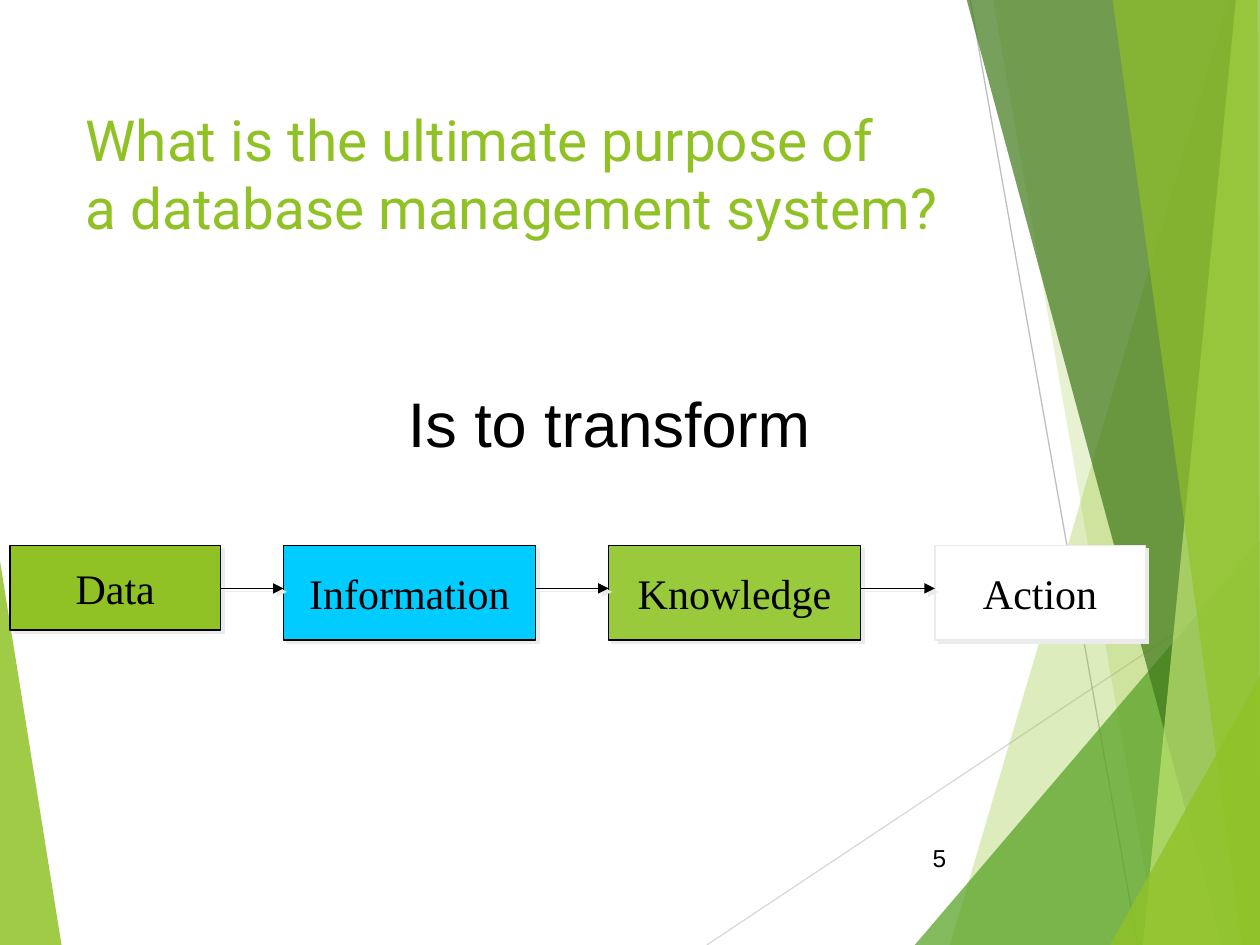
from dataclasses import dataclass
from itertools import pairwise

from lxml.etree import SubElement
from pptx import Presentation
from pptx.dml.color import RGBColor
from pptx.enum.shapes import MSO_CONNECTOR, MSO_SHAPE
from pptx.enum.text import MSO_ANCHOR, MSO_AUTO_SIZE, PP_ALIGN
from pptx.oxml.ns import qn
from pptx.util import Inches, Pt


@dataclass(frozen=True)
class Theme:
    """Colours, fonts and type sizes."""
    lime: str = "90C226"
    leaf: str = "54A021"
    moss: str = "3F7819"
    pale: str = "C0E474"
    sky: str = "00CCFF"
    grass: str = "99CA3C"
    white: str = "FFFFFF"
    black: str = "000000"
    shade: str = "EBEBEB"
    light: str = "D9D9D9"
    grey: str = "BFBFBF"
    head: str = "Roboto"
    sans: str = "Arial"
    serif: str = "Times New Roman"
    title: float = 32.4
    lead: float = 36
    label: float = 24
    small: float = 14


def write(frame, text, font, size, color, align=PP_ALIGN.LEFT,
          anchor=MSO_ANCHOR.MIDDLE, wrap=True):
    """Fill a text frame with one formatted paragraph."""
    frame.auto_size = MSO_AUTO_SIZE.NONE
    frame.word_wrap = wrap
    frame.vertical_anchor = anchor
    frame.text = text
    para = frame.paragraphs[0]
    para.alignment = align
    for run in para.runs:
        run.font.name = font
        run.font.size = Pt(size)
        run.font.color.rgb = RGBColor.from_string(color)


def shadow(shape, color=None):
    """Replace the theme shadow by a hard one, or by none."""
    props = shape._element.spPr
    for old in props.findall(qn("a:effectLst")):
        props.remove(old)
    effect = SubElement(props, qn("a:effectLst"))
    if color:
        outer = SubElement(effect, qn("a:outerShdw"), blurRad="0",
                           dist=str(Pt(2.8)), dir=str(45 * 60000),
                           algn="ctr", rotWithShape="0")
        SubElement(outer, qn("a:srgbClr"), val=color)


class Deck:
    """Holds the theme and the current slide."""

    def __init__(self, theme):
        """Start a deck with one title slide."""
        self.theme = theme
        self.file = Presentation()
        self.file.slide_width = Inches(10)
        self.file.slide_height = Inches(7.5)
        self.slide = self.file.slides.add_slide(self.file.slide_layouts[5])
        self.shapes = self.slide.shapes

    def title(self, text, *area):
        """Place the title and bring it to the front."""
        hold = self.shapes.title
        hold.left, hold.top, hold.width, hold.height = map(Inches, area)
        write(hold.text_frame, text, self.theme.head, self.theme.title,
              self.theme.lime)
        self.shapes._spTree.append(hold._element)

    def text(self, text, *area, **style):
        """Add a text box."""
        box = self.shapes.add_textbox(*map(Inches, area))
        write(box.text_frame, text, self.theme.sans, color=self.theme.black,
              **style)

    def facet(self, color, alpha, *points):
        """Add a see-through polygon without an outline."""
        start, *rest = [(Inches(x), Inches(y)) for x, y in points]
        pen = self.shapes.build_freeform(*start)
        pen.add_line_segments(rest, close=True)
        shape = pen.convert_to_shape()
        shape.fill.solid()
        shape.fill.fore_color.rgb = RGBColor.from_string(color)
        tint = shape._element.spPr.find(qn("a:solidFill"))[0]
        SubElement(tint, qn("a:alpha"), val=str(alpha * 1000))
        shape.line.fill.background()
        shadow(shape)

    def line(self, color, *ends, arrow=False):
        """Add a thin line, with an arrowhead if asked."""
        link = self.shapes.add_connector(MSO_CONNECTOR.STRAIGHT,
                                         *map(Inches, ends))
        link.line.color.rgb = RGBColor.from_string(color)
        link.line.width = Pt(0.75)
        if arrow:
            SubElement(link.line._get_or_add_ln(), qn("a:tailEnd"),
                       type="triangle")
        shadow(link, self.theme.shade if arrow else None)
        return link

    def box(self, text, fill, edge, *area):
        """Add a labelled box with a hard shadow."""
        shape = self.shapes.add_shape(MSO_SHAPE.RECTANGLE,
                                      *map(Inches, area))
        shape.fill.solid()
        shape.fill.fore_color.rgb = RGBColor.from_string(fill)
        shape.line.color.rgb = RGBColor.from_string(edge)
        shape.line.width = Pt(0.75)
        shadow(shape, self.theme.shade)
        write(shape.text_frame, text, self.theme.serif, self.theme.label,
              self.theme.black, align=PP_ALIGN.CENTER, wrap=False)
        return shape


def scenery(deck):
    """Draw the green facets along the slide edges."""
    t = deck.theme
    top, base, edge = -0.01, 7.5, 10.01
    deck.facet(t.lime, 85, (top, 4.39), (0.49, 7.51), (top, base))
    deck.line(t.light, 5.61, base, edge, 4.57)
    deck.line(t.grey, 7.7, 0, 9.03, base)
    facets = [
        (t.lime, 30, (9.75, 0), (7.54, base), (edge, base), (edge, 0)),
        (t.lime, 20, (7.88, top), (9.19, base), (edge, base), (edge, top)),
        (t.leaf, 72, (7.26, base), (10, 4.29), (edge, base)),
        (t.moss, 70, (7.67, top), (9.7, base), (edge, base), (edge, top)),
        (t.pale, 70, (9.81, top), (9.07, base), (edge, base), (10, top)),
        (t.lime, 65, (8.83, top), (9.86, base), (10, base), (9.98, top)),
        (t.lime, 80, (8.81, base), (edge, 5.35), (edge, base)),
    ]
    for facet in facets:
        deck.facet(*facet)


def flow(deck):
    """Draw the chain of boxes and the arrows between them."""
    t = deck.theme
    top, mid = 4.33, 4.67
    steps = [
        ("Data", t.lime, t.black, 0.08, 1.67, 0.67),
        ("Information", t.sky, t.black, 2.25, 2, 0.75),
        ("Knowledge", t.grass, t.black, 4.83, 2, 0.75),
        ("Action", t.white, t.shade, 7.42, 1.67, 0.75),
    ]
    for name, fill, edge, left, width, height in steps:
        deck.box(name, fill, edge, left, top, width, height)
    for prev, step in pairwise(steps):
        deck.line(t.black, prev[3] + prev[4], mid, step[3], mid, arrow=True)


def main():
    """Build and save the slide."""
    theme = Theme()
    deck = Deck(theme)
    scenery(deck)
    deck.title("What is the ultimate purpose of\va database management system?",
               0.58, 0.75, 9, 1.25)
    deck.text("5", 7.05, 6.61, 0.56, 0.4, size=theme.small,
              align=PP_ALIGN.RIGHT)
    flow(deck)
    deck.text("Is to transform", 2.5, 3, 4.67, 0.7, size=theme.lead,
              align=PP_ALIGN.CENTER, anchor=MSO_ANCHOR.BOTTOM)
    deck.file.save("out.pptx")


main()
